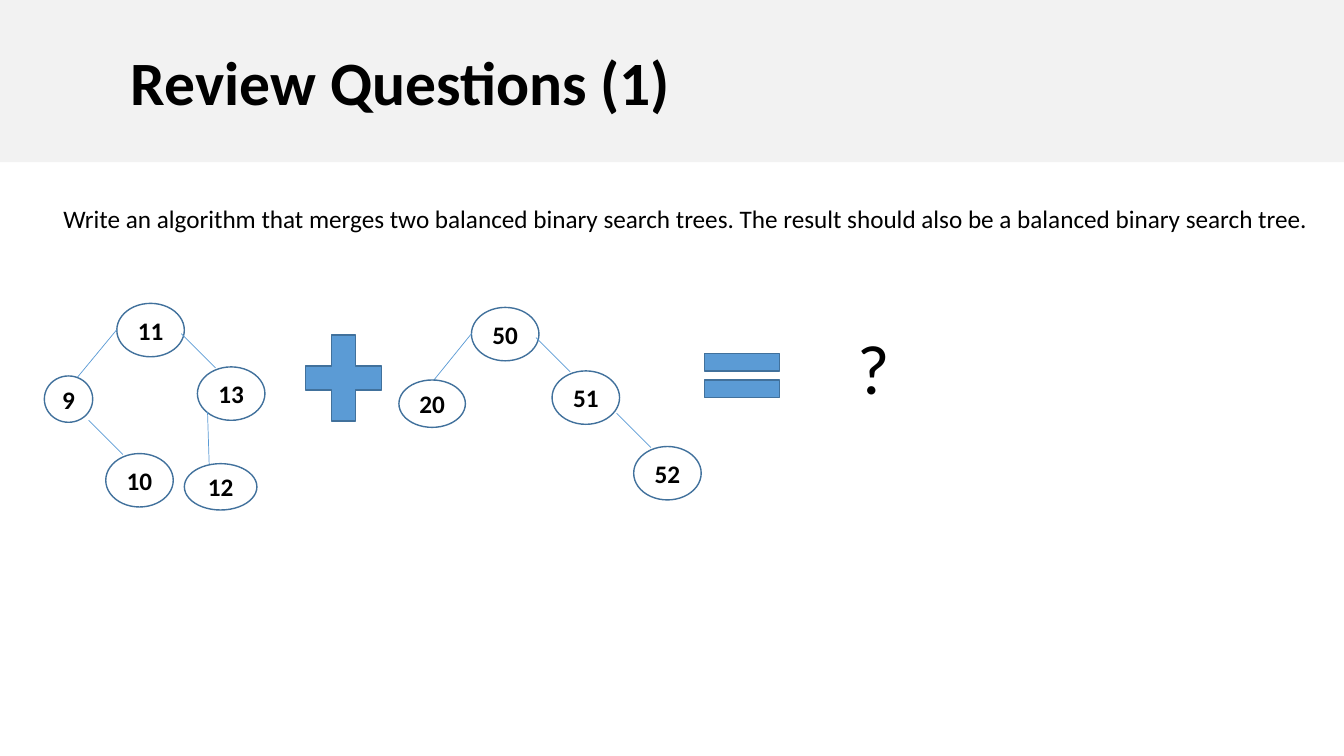
"""Build the review slide on merging two balanced binary search trees."""
from lxml import etree
from pptx import Presentation
from pptx.dml.color import RGBColor
from pptx.enum.shapes import MSO_CONNECTOR, MSO_SHAPE
from pptx.enum.text import MSO_ANCHOR, PP_ALIGN
from pptx.oxml.ns import qn
from pptx.util import Inches, Pt

TITLE = "Review Questions (1)"
TASK = ("Write an algorithm that merges two balanced binary search trees. "
        "The result should also be a balanced binary search tree.")
WIDE, TALL = 0.67, 0.53
NODES = [
    ("11", (1.16, 3.01, WIDE, TALL), None),
    ("9", (0.44, 3.73, 0.48, 0.46), (1.16, 3.27, 0.68, 3.85)),
    ("10", (1.05, 4.5, WIDE, TALL), (0.88, 4.17, 1.22, 4.51)),
    ("13", (1.96, 3.64, WIDE, TALL), (1.8, 3.31, 2.14, 3.65)),
    ("12", (1.83, 4.6, 0.72, 0.46), (2.06, 4.09, 2.08, 4.72)),
    ("50", (4.68, 3.05, WIDE, TALL), None),
    ("20", (3.96, 3.77, 0.66, 0.47), (4.68, 3.31, 4.21, 3.89)),
    ("51", (5.48, 3.68, WIDE, TALL), (5.32, 3.35, 5.66, 3.69)),
    ("52", (6.29, 4.43, WIDE, TALL), (6.12, 4.1, 6.46, 4.44)),
]
RECT, OVAL = MSO_SHAPE.RECTANGLE, MSO_SHAPE.OVAL
SIGNS = [
    (MSO_SHAPE.MATH_PLUS, (2.9, 3.17, 1.02, 1.16)),
    (MSO_SHAPE.MATH_EQUAL, (6.86, 3.35, 1.01, 0.75)),
]
STRAIGHT = MSO_CONNECTOR.STRAIGHT
LEFT, CENTER = PP_ALIGN.LEFT, PP_ALIGN.CENTER
TOP, MIDDLE = MSO_ANCHOR.TOP, MSO_ANCHOR.MIDDLE
BLACK = RGBColor(0x00, 0x00, 0x00)
WHITE = RGBColor(0xFF, 0xFF, 0xFF)
GRAY = RGBColor(0xF2, 0xF2, 0xF2)
BLUE = RGBColor(0x5B, 0x9B, 0xD5)
NAVY = RGBColor(0x41, 0x71, 0x9C)


def write(shape, text, size=18, bold=False, align=LEFT, anchor=TOP,
          inset=0.1, wrap=False):
    frame = shape.text_frame
    frame.word_wrap = wrap
    frame.vertical_anchor = anchor
    frame.margin_left = Inches(inset)
    para = frame.paragraphs[0]
    para.alignment = align
    run = para.add_run()
    run.text = text
    font = run.font
    font.name, font.size, font.bold = "Calibri", Pt(size), bold
    font.color.rgb = BLACK


def draw(slide, kind, box, fill, line=None):
    shape = slide.shapes.add_shape(kind, *map(Inches, box))
    shape.shadow.inherit = False
    shape.fill.solid()
    shape.fill.fore_color.rgb = fill
    if line is None:
        shape.line.fill.background()
    else:
        shape.line.color.rgb = line
        shape.line.width = Pt(1)
    return shape


def link(slide, ends):
    edge = slide.shapes.add_connector(STRAIGHT, *map(Inches, ends))
    edge.line.color.rgb = BLUE
    edge.line.width = Pt(0.5)
    etree.SubElement(edge._element.spPr, qn("a:effectLst"))


def label(slide, box, text, **style):
    write(slide.shapes.add_textbox(*map(Inches, box)), text, **style)


def main():
    deck = Presentation()
    deck.slide_width, deck.slide_height = Inches(13.34), Inches(7.5)
    slide = deck.slides.add_slide(deck.slide_layouts[6])

    band = draw(slide, RECT, (0, 0, 13.34, 1.61), GRAY)
    write(band, TITLE, size=44, bold=True, anchor=MIDDLE, inset=1.3, wrap=True)
    label(slide, (0.53, 1.97, 12.59, 0.4), TASK)

    for key, box, ends in NODES:
        if ends:
            link(slide, ends)
        node = draw(slide, OVAL, box, WHITE, NAVY)
        write(node, key, bold=True, align=CENTER, anchor=MIDDLE, wrap=True)

    for kind, box in SIGNS:
        draw(slide, kind, box, BLUE, NAVY)
    label(slide, (8.41, 3.17, 0.52, 0.94), "?", size=50)
    deck.save("out.pptx")


if __name__ == "__main__":
    main()
